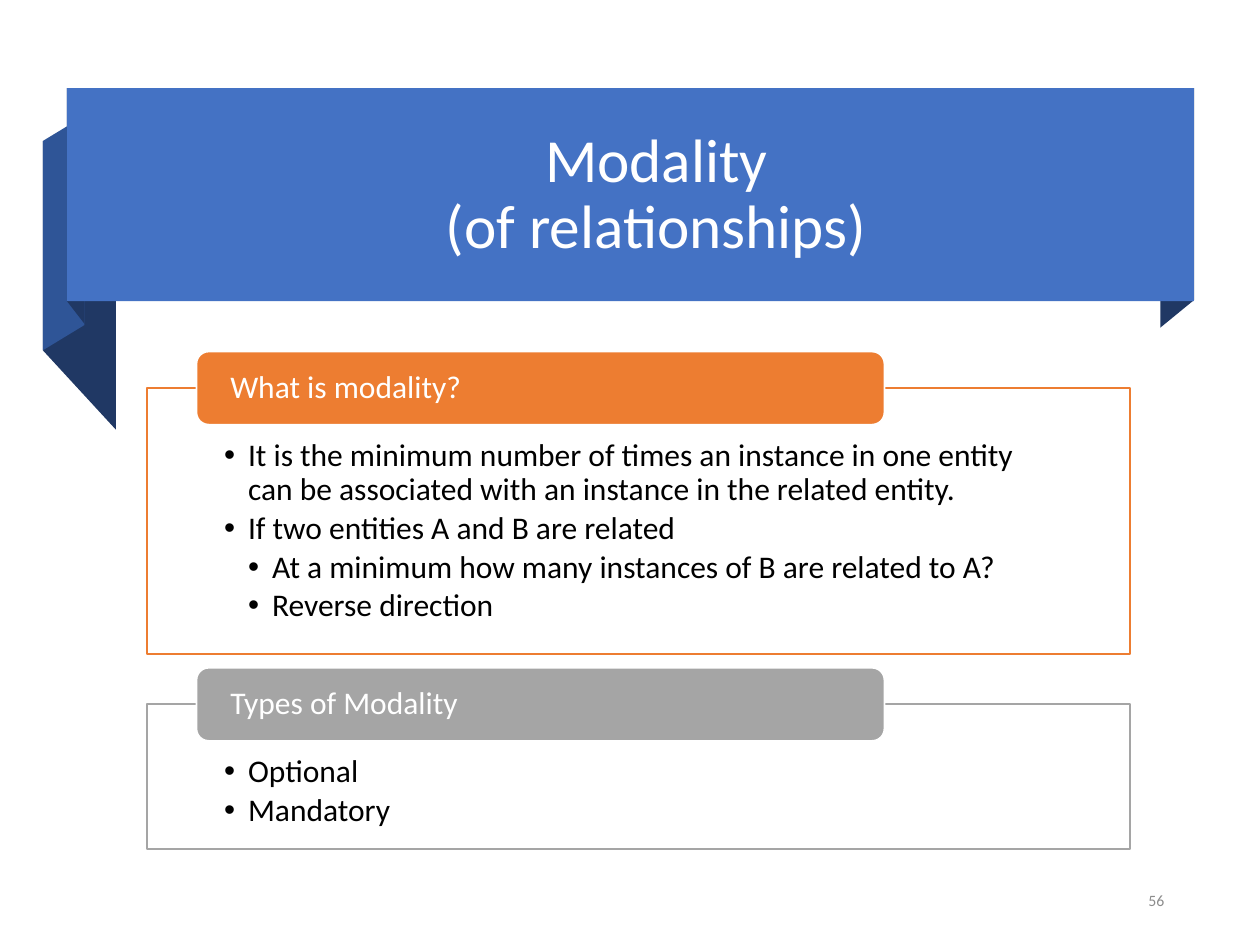
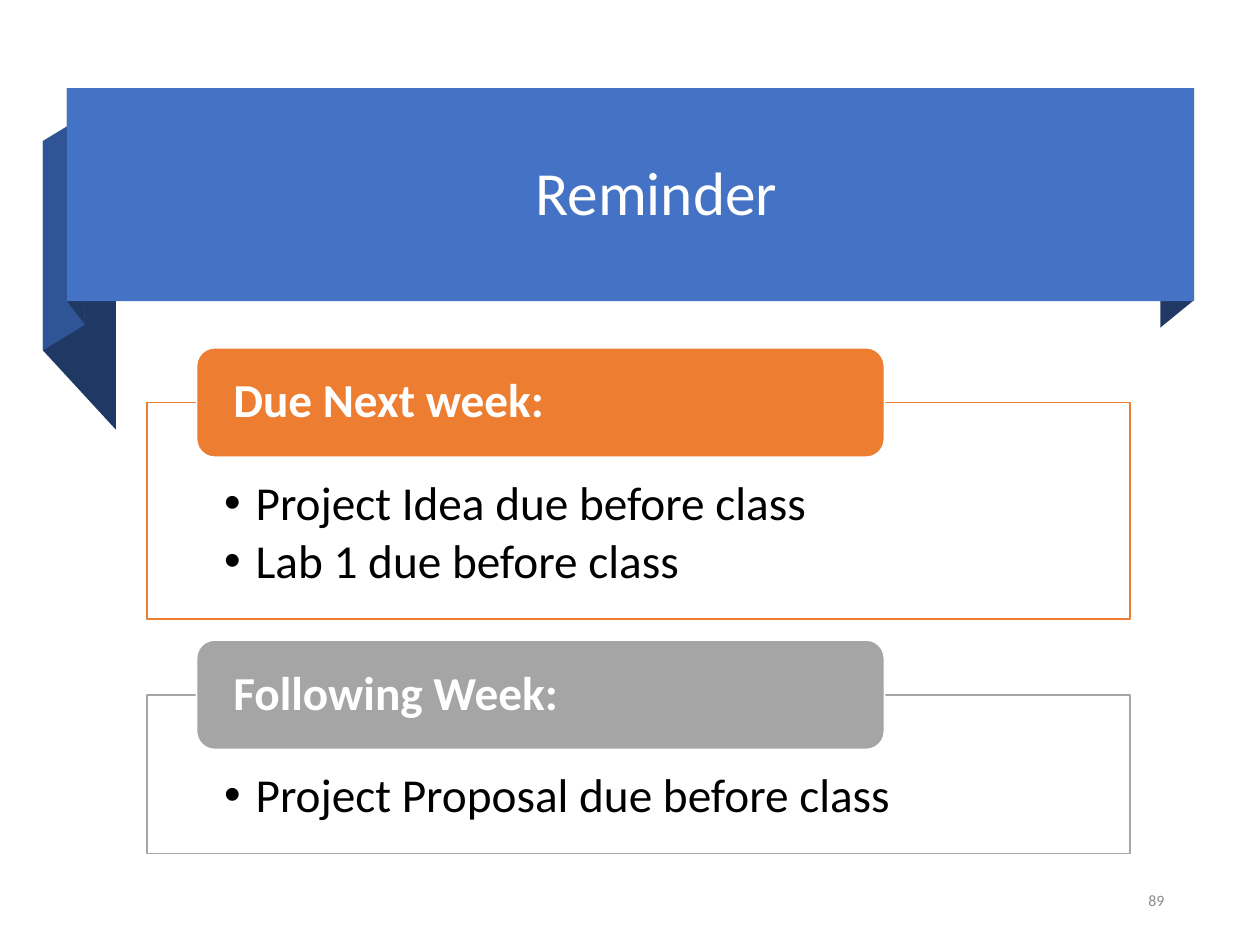
"""Build two ribbon-titled slides whose content sits in stacked, headed panels."""
import pptx
import pptx.util
import pptx.dml.color
import pptx.enum.shapes
import pptx.enum.text
import pptx.oxml.ns
from lxml import etree

Pt = pptx.util.Pt
SHAPE = pptx.enum.shapes.MSO_SHAPE
ALIGN = pptx.enum.text.PP_ALIGN
ANCHOR = pptx.enum.text.MSO_ANCHOR
qn = pptx.oxml.ns.qn

SLIDES = [
    dict(title="Modality\v(of relationships)", number="56", size=18, top=200.9,
         indent=13.7, header_inset=17.3, bold=False, panels=[
             ("What is modality?", "orange", 151.9, [
                 (1, "It is the minimum number of times an instance in one entity "
                     "can be associated with an instance in the related entity."),
                 (1, "If two entities A and B are related"),
                 (2, "At a minimum how many instances of B are related to A?"),
                 (2, "Reverse direction")]),
             ("Types of Modality", "gray", 82.8, [
                 (1, "Optional"),
                 (1, "Mandatory")])]),
    dict(title="Reminder", number="89", size=27, top=198.7,
         indent=18, header_inset=18, bold=True, panels=[
             ("Due Next week:", "orange", 123.8, [
                 (1, "Project Idea due before class"),
                 (1, "Lab 1 due before class")]),
             ("Following Week:", "gray", 90.7, [
                 (1, "Project Proposal due before class")])]),
]

COLORS = dict(white="FFFFFF", black="000000", band="4472C4", side="2F5597",
              fold="203864", orange="ED7D31", gray="A5A5A5", number="8C8C8C")
FONT = "Calibri"

BAND = (38.2, 50.4, 644.1, 121.7)
TITLE = (79.9, 59.8, 590.4, 104.4)
NUMBER = (632.2, 502.6, 40.3, 25.2)
FOLDS = [
    ("fold", [(682.3, 171.5), (663.1, 187.2), (663.1, 65.5), (682.3, 50.4)]),
    ("fold", [(66.2, 245.5), (24.5, 200.2), (24.5, 80.6), (66.2, 126)]),
    ("side", [(48.2, 185.8), (24.5, 200.2), (24.5, 80.6), (48.2, 66.2)]),
    ("fold", [(48.2, 185), (38.2, 172.1), (38.2, 50.4), (48.2, 64.1)]),
]
BOX_LEFT, BOX_WIDTH = 84.2, 561.6
HEADER_LEFT, HEADER_WIDTH = 112.3, 393.1
BOX_INSET = 43.9
HEADER_RATIO, GAP_RATIO, TOP_RATIO, BOTTOM_RATIO = 2.32, 0.44, 1.63, 0.56


def rgb(name):
    return pptx.dml.color.RGBColor.from_string(COLORS[name])


def paint(sp, fill, line=None):
    sp.shadow.inherit = False
    sp.fill.solid()
    sp.fill.fore_color.rgb = rgb(fill)
    if line:
        sp.line.color.rgb = rgb(line)
        sp.line.width = Pt(1)
    else:
        sp.line.fill.background()


def add_box(s, kind, place, fill, line=None):
    sp = s.shapes.add_shape(kind, *map(Pt, place))
    paint(sp, fill, line)
    return sp


def set_frame(tf, anchor, insets=(7.2, 3.6, 7.2, 3.6)):
    values = dict(zip(("margin_left", "margin_top", "margin_right", "margin_bottom"),
                      map(Pt, insets)))
    values.update(word_wrap=True, vertical_anchor=anchor,
                  auto_size=pptx.enum.text.MSO_AUTO_SIZE.NONE)
    for name, value in values.items():
        setattr(tf, name, value)


def write(p, text, size, color, align=ALIGN.LEFT, bold=False, after=0):
    p.text = text
    for name, value in dict(alignment=align, line_spacing=0.9, space_before=Pt(0),
                            space_after=Pt(after)).items():
        setattr(p, name, value)
    for r in p.runs:
        for name, value in dict(name=FONT, size=Pt(size), bold=bold).items():
            setattr(r.font, name, value)
        r.font.color.rgb = rgb(color)


def add_bullet(p, level, indent):
    pPr = p._p.get_or_add_pPr()
    pPr.set("marL", str(int(Pt(level * indent))))
    pPr.set("indent", str(-int(Pt(indent))))
    etree.SubElement(pPr, qn("a:buFont")).set("typeface", "Arial")
    etree.SubElement(pPr, qn("a:buChar")).set("char", "•")


def add_ribbon(s, title):
    for color, points in FOLDS:
        start, *rest = [(Pt(x), Pt(y)) for x, y in points]
        fb = s.shapes.build_freeform(*start)
        fb.add_line_segments(rest, close=True)
        paint(fb.convert_to_shape(), color)
    add_box(s, SHAPE.RECTANGLE, BAND, "band")
    sp = s.shapes.title
    s.shapes._spTree.append(sp._element)
    sp.left, sp.top, sp.width, sp.height = map(Pt, TITLE)
    set_frame(sp.text_frame, ANCHOR.MIDDLE)
    write(sp.text_frame.paragraphs[0], title, 35, "white", ALIGN.CENTER)


def add_number(s, number):
    tf = s.shapes.add_textbox(*map(Pt, NUMBER)).text_frame
    set_frame(tf, ANCHOR.MIDDLE)
    write(tf.paragraphs[0], number, 9, "number", ALIGN.RIGHT, after=6)


def add_panels(s, page):
    size, top = page["size"], page["top"]
    header_height = size * HEADER_RATIO
    for header, color, height, bullets in page["panels"]:
        box_top = top + header_height / 2
        sp = add_box(s, SHAPE.RECTANGLE, (BOX_LEFT, box_top, BOX_WIDTH, height),
                     "white", color)
        tf = sp.text_frame
        set_frame(tf, ANCHOR.TOP, (BOX_INSET, size * TOP_RATIO,
                                   BOX_INSET, size * BOTTOM_RATIO))
        for i, (level, text) in enumerate(bullets):
            p = tf.add_paragraph() if i else tf.paragraphs[0]
            write(p, text, size, "black", after=size * 0.15)
            add_bullet(p, level, page["indent"])
        sp = add_box(s, SHAPE.ROUNDED_RECTANGLE,
                     (HEADER_LEFT, top, HEADER_WIDTH, header_height), color, "white")
        inset = page["header_inset"]
        set_frame(sp.text_frame, ANCHOR.MIDDLE, (inset, 0, inset, 0))
        write(sp.text_frame.paragraphs[0], header, size, "white", bold=page["bold"])
        top = box_top + height + size * GAP_RATIO


def main():
    prs = pptx.Presentation()
    prs.slide_width, prs.slide_height = Pt(720), Pt(540)
    for page in SLIDES:
        s = prs.slides.add_slide(prs.slide_layouts[5])
        add_ribbon(s, page["title"])
        add_number(s, page["number"])
        add_panels(s, page)
    prs.save("out.pptx")


if __name__ == "__main__":
    main()
